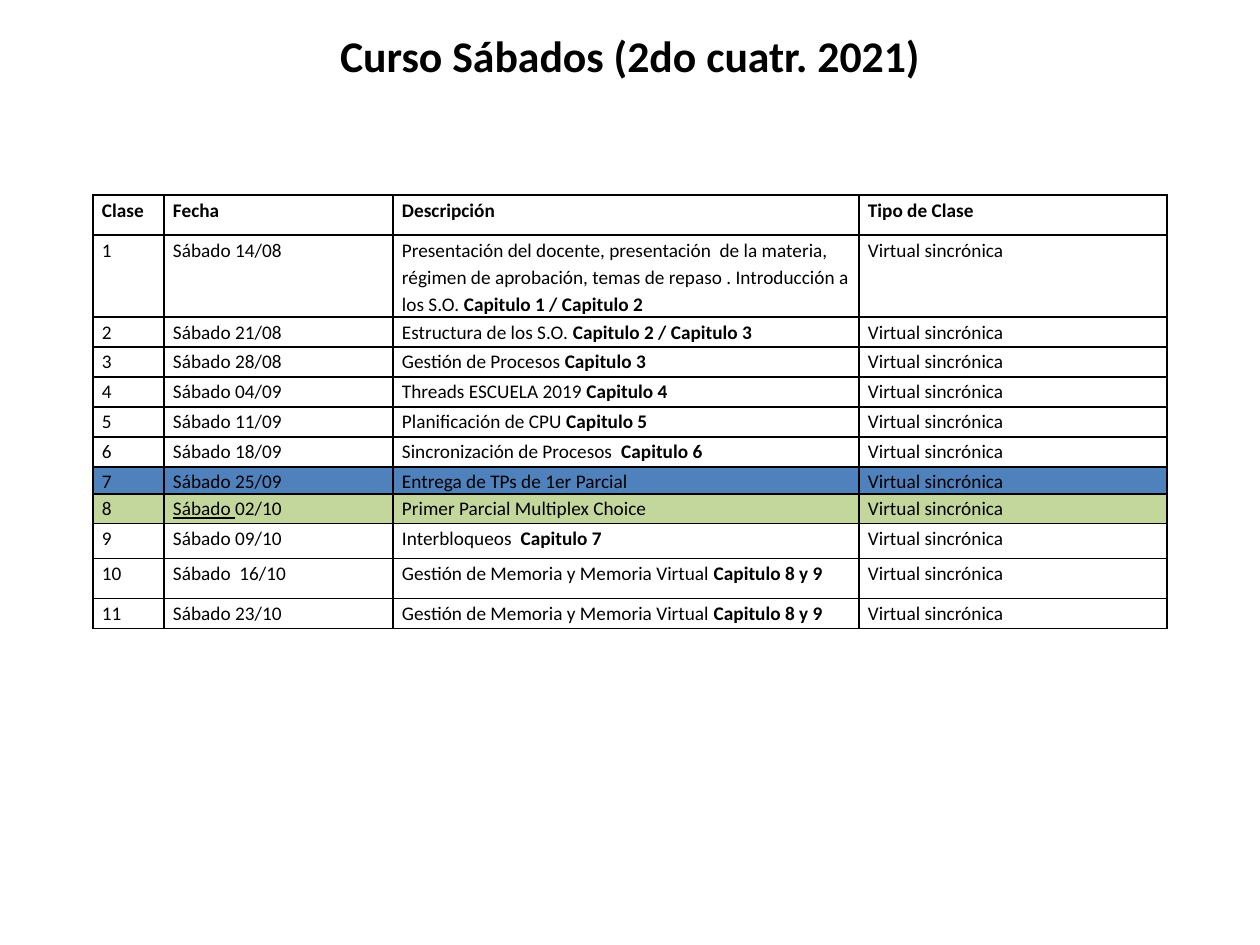
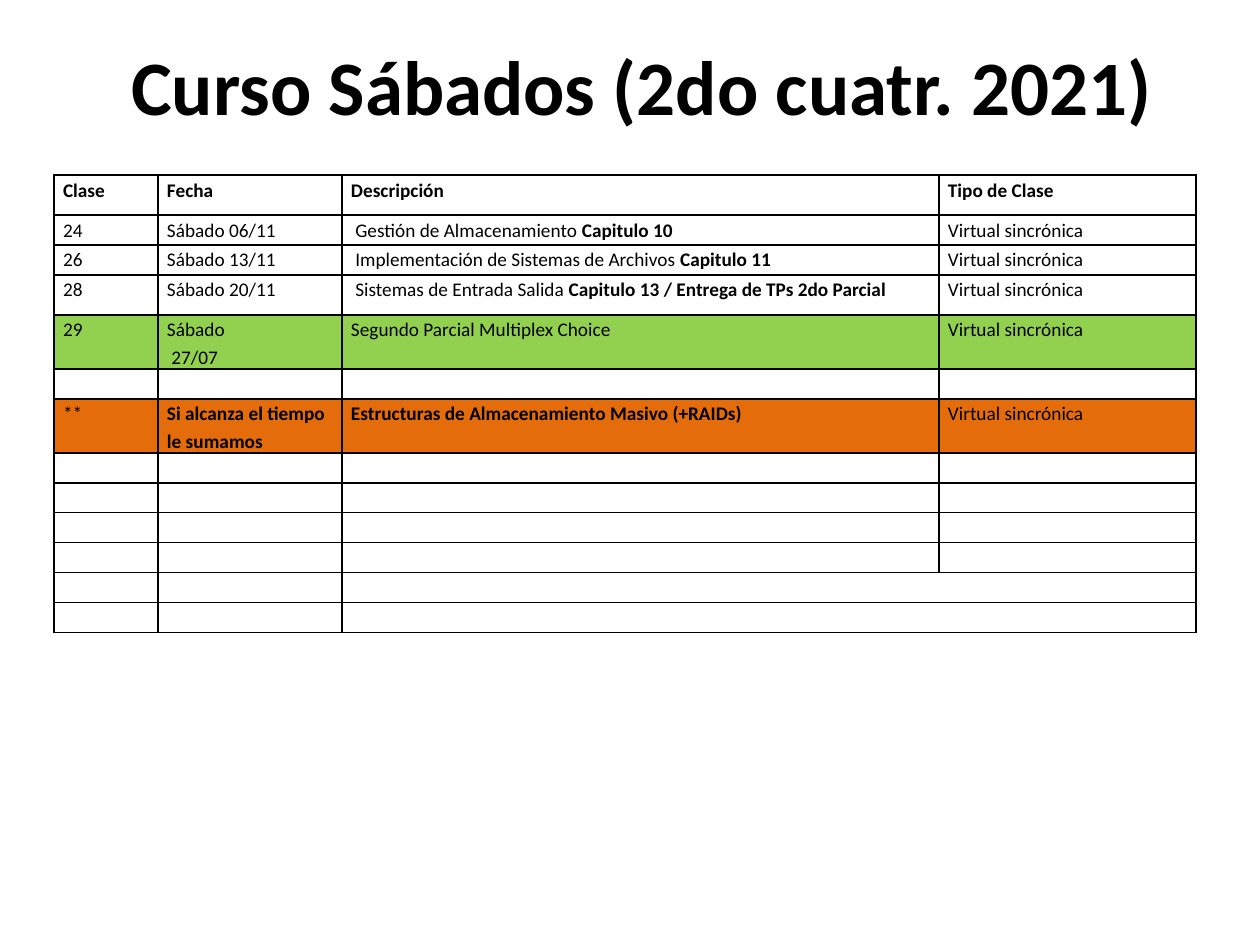
"""Build two slides with the class calendar of the Saturday course."""
from lxml.etree import SubElement
from pptx import Presentation
from pptx.dml.color import RGBColor
from pptx.enum.text import MSO_ANCHOR, PP_ALIGN
from pptx.oxml.ns import qn
from pptx.util import Emu, Pt

SCALE = 914400 / 126
FONT = "Calibri"
BLACK, WHITE = "000000", "FFFFFF"
BLUE, SAGE, GREEN, ORANGE = "4F81BD", "C3D69B", "92D050", "E46C0A"
TITLE = "Curso Sábados (2do cuatr. 2021)"
HEADER = ["Clase", "Fecha", "Descripción", "Tipo de Clase"]
MODE = "Virtual sincrónica"
ROW, TALL = 30, 40
EMPTY = (ROW, WHITE, "", "", "")


def px(length):
    return Emu(round(length * SCALE))


def write(para, parts, size, bold):
    for text, style in parts:
        span = para.add_run()
        span.text = text
        if style:
            setattr(span.font, style, True)
    para.font.name = FONT
    para.font.size = Pt(size)
    para.font.color.rgb = RGBColor.from_string(BLACK)
    if bold:
        para.font.bold = True


memory = [("Gestión de Memoria y Memoria Virtual ", None), ("Capitulo 8 y 9", "bold")]
first_half = [
    (82, WHITE, "1", "Sábado 14/08", [
        ("Presentación del docente, presentación  de la materia, régimen de aprobación, "
         "temas de repaso . Introducción a los S.O. ", None),
        ("Capitulo 1 / Capitulo 2", "bold")]),
    (ROW, WHITE, "2", "Sábado 21/08",
     [("Estructura de los S.O. ", None), ("Capitulo 2 / Capitulo 3", "bold")]),
    (ROW, WHITE, "3", "Sábado 28/08", [("Gestión de Procesos ", None), ("Capitulo 3", "bold")]),
    (ROW, WHITE, "4", "Sábado 04/09", [("Threads ESCUELA 2019 ", None), ("Capitulo 4", "bold")]),
    (ROW, WHITE, "5", "Sábado 11/09", [("Planificación de CPU ", None), ("Capitulo 5", "bold")]),
    (ROW, WHITE, "6", "Sábado 18/09",
     [("Sincronización de Procesos  ", None), ("Capitulo 6", "bold")]),
    (27, BLUE, "7", "Sábado 25/09", "Entrega de TPs de 1er Parcial"),
    (ROW, SAGE, "8", [("Sábado ", "underline"), ("02/10", None)],
     "Primer Parcial Multiplex Choice"),
    (35, WHITE, "9", "Sábado 09/10", [("Interbloqueos  ", None), ("Capitulo 7", "bold")]),
    (TALL, WHITE, "10", "Sábado  16/10", memory),
    (ROW, WHITE, "11", "Sábado 23/10", memory),
]
second_half = [
    (ROW, WHITE, "24", "Sábado 06/11",
     [(" Gestión de Almacenamiento ", None), ("Capitulo 10", "bold")]),
    (ROW, WHITE, "26", "Sábado 13/11",
     [(" Implementación de Sistemas de Archivos ", None), ("Capitulo 11", "bold")]),
    (TALL, WHITE, "28", "Sábado 20/11",
     [(" Sistemas de Entrada Salida ", None),
      ("Capitulo 13 / Entrega de TPs 2do Parcial", "bold")]),
    (54, GREEN, "29", "Sábado\n 27/07", "Segundo Parcial Multiplex Choice"),
    EMPTY,
    (54, ORANGE, "**", [("Si alcanza el tiempo le sumamos", "bold")],
     [("Estructuras de Almacenamiento Masivo (+RAIDs)", "bold")]),
] + [EMPTY] * 6

calendars = [
    ((63, -24, 1134, 158), 25, (93, 195), (71, 229, 466, 308), first_half, []),
    ((44, 6, 1197, 158), 44, (54, 175), (104, 184, 597, 257), second_half, [11, 12]),
]

deck = Presentation()
deck.slide_width, deck.slide_height = px(1260), px(945)

for title_area, title_size, (left, top), widths, classes, merged_rows in calendars:
    page = deck.slides.add_slide(deck.slide_layouts[6])
    title = page.shapes.add_textbox(*map(px, title_area)).text_frame
    title.word_wrap = True
    title.vertical_anchor = MSO_ANCHOR.MIDDLE
    title.paragraphs[0].alignment = PP_ALIGN.CENTER
    write(title.paragraphs[0], [(TITLE, None)], title_size, True)

    lines = [(TALL, WHITE, *HEADER)]
    lines += [(*entry, MODE if entry[2] else "") for entry in classes]
    height = sum(line[0] for line in lines)
    table = page.shapes.add_table(
        len(lines), len(widths), px(left), px(top), px(sum(widths)), px(height)).table
    table.first_row = table.horz_banding = False
    for column, width in zip(table.columns, widths):
        column.width = px(width)

    for number, (row_height, fill, *texts) in enumerate(lines):
        table.rows[number].height = px(row_height)
        for cell, text in zip(table.rows[number].cells, texts):
            cell.margin_left = cell.margin_right = px(9)
            cell.margin_top = cell.margin_bottom = 0
            for side in ("a:lnL", "a:lnR", "a:lnT", "a:lnB"):
                border = SubElement(cell._tc.get_or_add_tcPr(), qn(side), w=str(Pt(1)))
                paint = SubElement(border, qn("a:solidFill"))
                SubElement(paint, qn("a:srgbClr"), val=BLACK)
            cell.fill.solid()
            cell.fill.fore_color.rgb = RGBColor.from_string(fill)

            if isinstance(text, str):
                paragraphs = [[(part, None)] if part else [] for part in text.split("\n")]
            else:
                paragraphs = [text]
            for index, parts in enumerate(paragraphs):
                frame = cell.text_frame
                para = frame.add_paragraph() if index else frame.paragraphs[0]
                para.line_spacing = 1.15
                write(para, parts, 11, number == 0)

    for number in merged_rows:
        table.cell(number, 2).merge(table.cell(number, 3))

deck.save("out.pptx")
